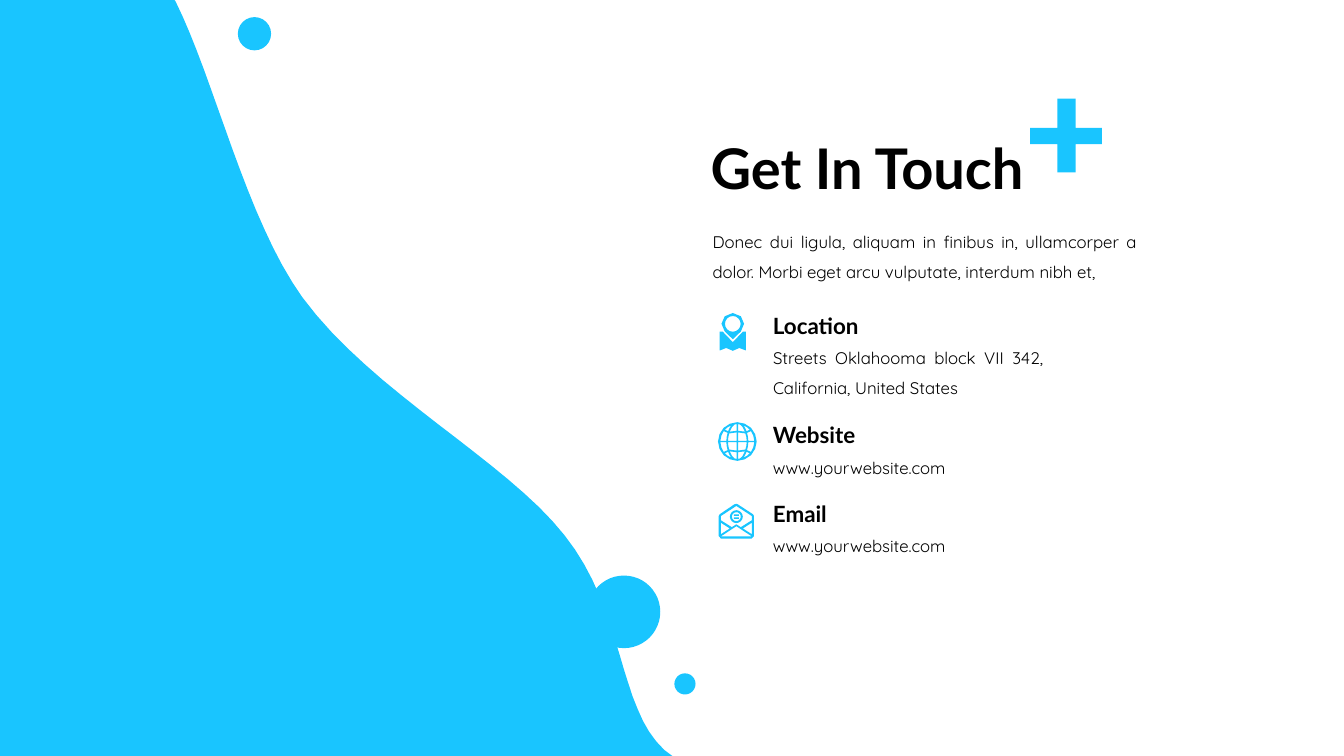
from dataclasses import dataclass
from math import cos, pi, sin

from pptx import Presentation
from pptx.dml.color import RGBColor
from pptx.enum.shapes import MSO_SHAPE
from pptx.enum.text import MSO_ANCHOR, MSO_AUTO_SIZE, PP_ALIGN
from pptx.util import Emu, Pt

PX = 914.4
RIM = 16
OVAL = MSO_SHAPE.OVAL
LEFT, JUSTIFY = PP_ALIGN.LEFT, PP_ALIGN.JUSTIFY
MIDDLE, TOP = MSO_ANCHOR.MIDDLE, MSO_ANCHOR.TOP
FIXED, GROW = MSO_AUTO_SIZE.NONE, MSO_AUTO_SIZE.SHAPE_TO_FIT_TEXT

Path = list[tuple[float, ...]]


@dataclass(frozen=True)
class Theme:
    accent: RGBColor = RGBColor(0x19, 0xC5, 0xFF)
    ink: RGBColor = RGBColor(0, 0, 0)
    head: str = "Lato"
    body: str = "Quicksand"
    title: int = 40
    label: int = 16
    small: int = 12


@dataclass(frozen=True)
class Dot:
    left: int
    top: int
    size: int


@dataclass(frozen=True)
class Contact:
    top: int
    label: str
    detail: str
    wide: int
    high: int
    icon: list[Path]


THEME = Theme()


def px(n: float) -> Emu:
    return Emu(round(n * PX))


def ring(x: int, y: int, r: int) -> Path:
    turns = [2 * pi * i / RIM for i in range(RIM)]
    return [(x + r * cos(a), y + r * sin(a)) for a in turns]


def flat(path: Path, steps: int) -> Path:
    pts = [path[0]]
    for step in path[1:]:
        if len(step) == 2:
            pts.append(step)
            continue
        (ax, ay), (bx, by, cx, cy, dx, dy) = pts[-1], step
        for i in range(1, steps + 1):
            t = i / steps
            u = 1 - t
            k = (u**3, 3 * u * u * t, 3 * u * t * t, t**3)
            pts.append((k[0] * ax + k[1] * bx + k[2] * cx + k[3] * dx,
                        k[0] * ay + k[1] * by + k[2] * cy + k[3] * dy))
    return pts


def paint(shape) -> None:
    shape.shadow.inherit = False
    shape.fill.solid()
    shape.fill.fore_color.rgb = THEME.accent
    shape.line.fill.background()


def draw(slide, paths: list[Path], steps: int = 2) -> None:
    first, *rest = [flat(path, steps) for path in paths]
    pen = slide.shapes.build_freeform(*first[0], scale=PX)
    pen.add_line_segments(first[1:], close=True)
    for pts in rest:
        pen.move_to(*pts[0])
        pen.add_line_segments(pts[1:], close=True)
    paint(pen.convert_to_shape())


def write(box, text: str, *, font: str, size: int, bold: bool = False,
          align=JUSTIFY, space: float = 1.5, anchor=TOP, fit=GROW) -> None:
    frame = box.text_frame
    frame.word_wrap = True
    frame.auto_size = fit
    frame.vertical_anchor = anchor
    para = frame.paragraphs[0]
    para.alignment = align
    para.line_spacing = space
    para.space_before = Pt(0)
    run = para.add_run()
    run.text = text
    run.font.name = font
    run.font.size = Pt(size)
    run.font.bold = bold
    run.font.color.rgb = THEME.ink


def area(slide, *rect: int):
    return slide.shapes.add_textbox(*map(px, rect))


def globe(x: int, y: int) -> list[Path]:
    cells = [
        [(7, 7), (93, 7), (93, 35, 87, 60, 80, 80), (7, 90)],
        [(7, 106), (75, 98), (62, 135, 44, 160, 25, 170), (7, 172)],
        [(109, 7), (168, 7), (166, 45, 155, 78, 136, 103),
         (96, 86), (104, 62, 108, 35, 109, 7)],
        [(91, 102), (124, 117), (106, 137, 85, 151, 60, 159),
         (74, 144, 84, 124, 91, 102)],
    ]
    paths = [ring(x, y, 192)]
    for sx in (1, -1):
        for sy in (1, -1):
            for cell in cells:
                paths.append([
                    tuple(x + sx * n if i % 2 == 0 else y + sy * n
                          for i, n in enumerate(step)) for step in cell])
    return paths


def block(x: int, y: int, w: int, h: int) -> Path:
    return [(x, y), (x + w, y), (x + w, y + h), (x, y + h)]


WAVE = [
    (1730, 0), (0, 0), (0, 7500), (6670, 7500), (6590, 7440),
    (6130, 7020, 6200, 6060, 5600, 5310),
    (5010, 4560, 3700, 3900, 3000, 2950),
    (2440, 2170, 2130, 790, 1740, 10),
]
PLUS = [
    (10490, 980), (10670, 980), (10670, 1270), (10930, 1270),
    (10930, 1430), (10670, 1430), (10670, 1710), (10490, 1710),
    (10490, 1430), (10220, 1430), (10220, 1270), (10490, 1270),
]
PIN = [
    [(7270, 3365), (7350, 3288), (7392, 3244, 7392, 3180, 7350, 3138),
     (7306, 3094, 7234, 3094, 7190, 3138), (7148, 3180, 7148, 3244, 7190, 3288)],
    ring(7270, 3213, 78),
    [(7140, 3290), (7170, 3290), (7270, 3395), (7370, 3290), (7400, 3290),
     (7400, 3477), (7335, 3452), (7270, 3480), (7205, 3452), (7140, 3477)],
]
MAIL = [
    [(7140, 5102), (7285, 5004), (7305, 4998), (7320, 5004), (7470, 5102),
     (7480, 5120), (7480, 5320), (7457, 5343), (7153, 5343), (7130, 5320),
     (7130, 5120)],
    [(7152, 5187), (7240, 5243), (7152, 5300)],
    [(7458, 5187), (7370, 5243), (7458, 5300)],
    [(7152, 5322), (7305, 5221), (7458, 5322)],
    [(7152, 5162), (7152, 5120), (7305, 5020), (7458, 5120), (7458, 5162),
     (7350, 5230), (7305, 5202), (7260, 5230)],
    ring(7305, 5126, 64),
    ring(7305, 5126, 44),
    block(7280, 5103, 50, 16),
    block(7280, 5132, 50, 16),
]
DOTS = [Dot(2360, 170, 330), Dot(6690, 6680, 210), Dot(5830, 5710, 720)]
CONTACTS = [
    Contact(2910, "Location", "Streets Oklahooma block VII 342, California, United States",
            2880, 710, PIN),
    Contact(4000, "Website", "www.yourwebsite.com", 2600, 400, globe(7315, 4380)),
    Contact(4780, "Email", "www.yourwebsite.com", 2600, 400, MAIL),
]
INTRO = ("Donec dui ligula, aliquam in finibus in, ullamcorper a dolor. "
         "Morbi eget arcu vulputate, interdum nibh et,")


def main() -> None:
    deck = Presentation()
    deck.slide_width, deck.slide_height = px(13333), px(7500)
    slide = deck.slides.add_slide(deck.slide_layouts[5])

    title = slide.shapes.title
    title.left, title.top, title.width, title.height = map(px, (6950, 980, 5080, 1450))
    write(title, "Get In Touch", font=THEME.head, size=THEME.title, bold=True,
          align=LEFT, space=0.9, anchor=MIDDLE, fit=FIXED)

    draw(slide, [WAVE], 16)
    draw(slide, [PLUS])
    for dot in DOTS:
        paint(slide.shapes.add_shape(
            OVAL, *map(px, (dot.left, dot.top, dot.size, dot.size))))

    write(area(slide, 6970, 2150, 4410, 710), INTRO, font=THEME.body, size=THEME.small)
    for item in CONTACTS:
        draw(slide, item.icon)
        write(area(slide, 7570, item.top, 2600, 460), item.label,
              font=THEME.head, size=THEME.label, bold=True)
        write(area(slide, 7570, item.top + 390, item.wide, item.high), item.detail,
              font=THEME.body, size=THEME.small)

    deck.save("out.pptx")


if __name__ == "__main__":
    main()
